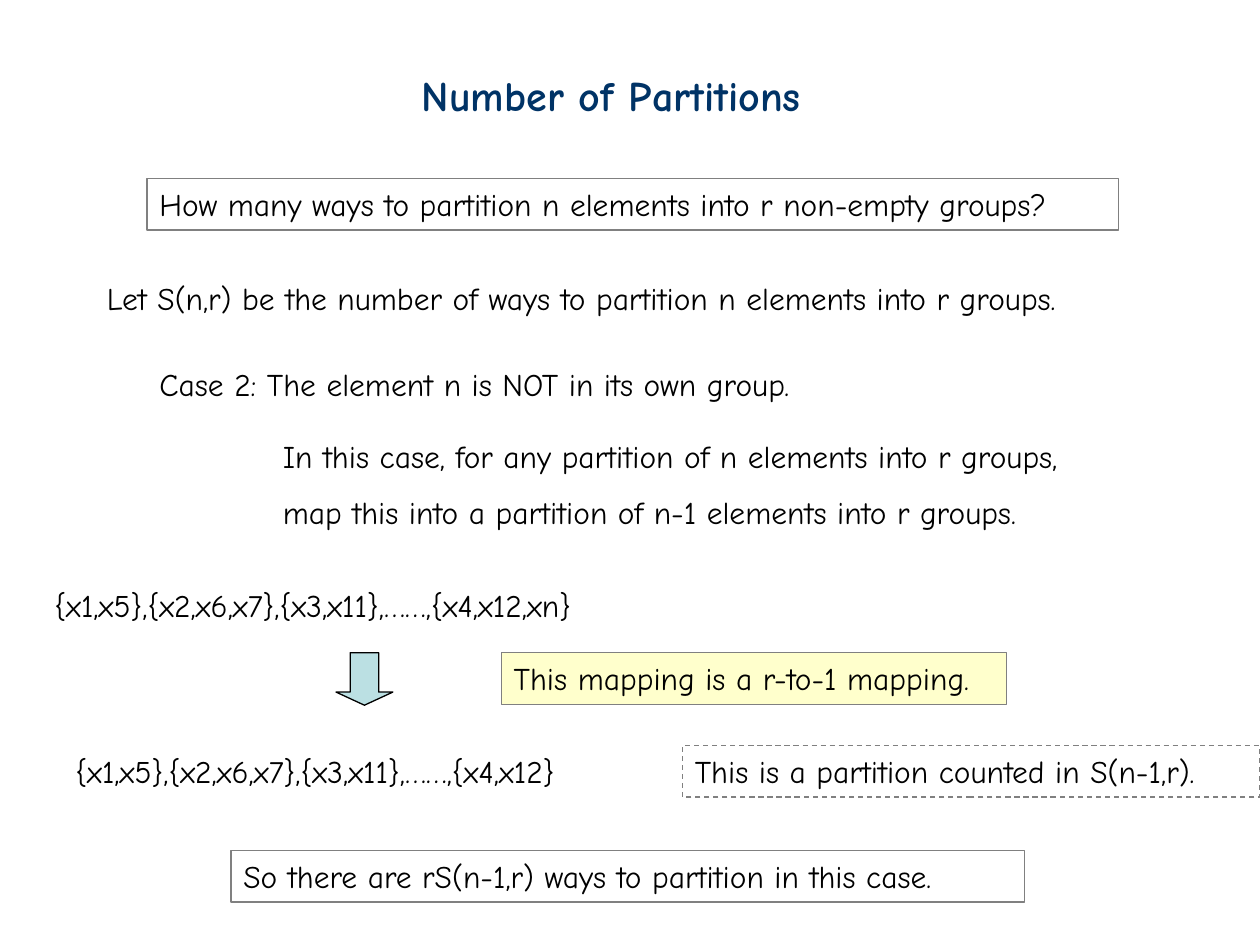
from pptx import Presentation
from pptx.dml.color import RGBColor
from pptx.enum import dml, shapes, text
from pptx.util import Pt

BLACK = RGBColor(0x00, 0x00, 0x00)
NAVY = RGBColor(0x00, 0x33, 0x66)
GREY = RGBColor(0x80, 0x80, 0x80)
CREAM = RGBColor(0xFF, 0xFF, 0xCC)
TEAL = RGBColor(0xBB, 0xE0, 0xE3)

deck = Presentation()
deck.slide_width, deck.slide_height = Pt(720), Pt(540)
slide = deck.slides.add_slide(deck.slide_layouts[6])


def add_statement(wording, left, top, width, height=29, size=18, color=BLACK, bold=False):
    box = slide.shapes.add_textbox(Pt(left), Pt(top), Pt(width), Pt(height))
    frame = box.text_frame
    frame.word_wrap = True
    frame.vertical_anchor = text.MSO_ANCHOR.TOP
    frame.text = wording
    for paragraph in frame.paragraphs:
        for run in paragraph.runs:
            run.font.name = "Comic Neue"
            run.font.size = Pt(size)
            run.font.bold = bold
            run.font.color.rgb = color
    return box


def add_framed(wording, left, top, width):
    box = add_statement(wording, left, top, width, height=29.5)
    box.line.color.rgb = GREY
    box.line.width = Pt(0.75)
    return box


add_statement("Number of Partitions", 234, 36, 260.5, 36, size=24, color=NAVY, bold=True)
add_framed("How many ways to partition n elements into r non-empty groups?", 84, 102, 555)

for wording, left, top, width in [
    ("Case 2: The element n is NOT in its own group.", 84, 205, 405.5),
    ("Let S(n,r) be the number of ways to partition n elements into r groups.", 54, 156, 608),
    ("{x1,x5},{x2,x6,x7},{x3,x11},……,{x4,x12,xn}", 24, 331.5, 367),
    ("{x1,x5},{x2,x6,x7},{x3,x11},……,{x4,x12}", 36, 426, 342),
]:
    add_statement(wording, left, top, width)

explanation = add_statement(
    "In this case, for any partition of n elements into r groups,\n"
    "map this into a partition of n-1 elements into r groups.",
    154.5, 246, 500.5, 61)
explanation.text_frame.paragraphs[1].line_spacing = 1.5

arrow = slide.shapes.add_shape(
    shapes.MSO_SHAPE.DOWN_ARROW, Pt(192), Pt(373), Pt(32.5), Pt(30))
arrow.adjustments[0] = 0.5
arrow.adjustments[1] = 0.25
arrow.shadow.inherit = False
arrow.fill.solid()
arrow.fill.fore_color.rgb = TEAL
arrow.line.color.rgb = BLACK
arrow.line.width = Pt(0.75)

counted = add_framed("This is a partition counted in S(n-1,r).", 390, 426, 330)
counted.line.dash_style = dml.MSO_LINE.DASH

mapping = add_framed("This mapping is a r-to-1 mapping.", 286.5, 373, 288.5)
mapping.fill.solid()
mapping.fill.fore_color.rgb = CREAM

add_framed("So there are rS(n-1,r) ways to partition in this case.", 132, 486, 453.5)

deck.save("out.pptx")
